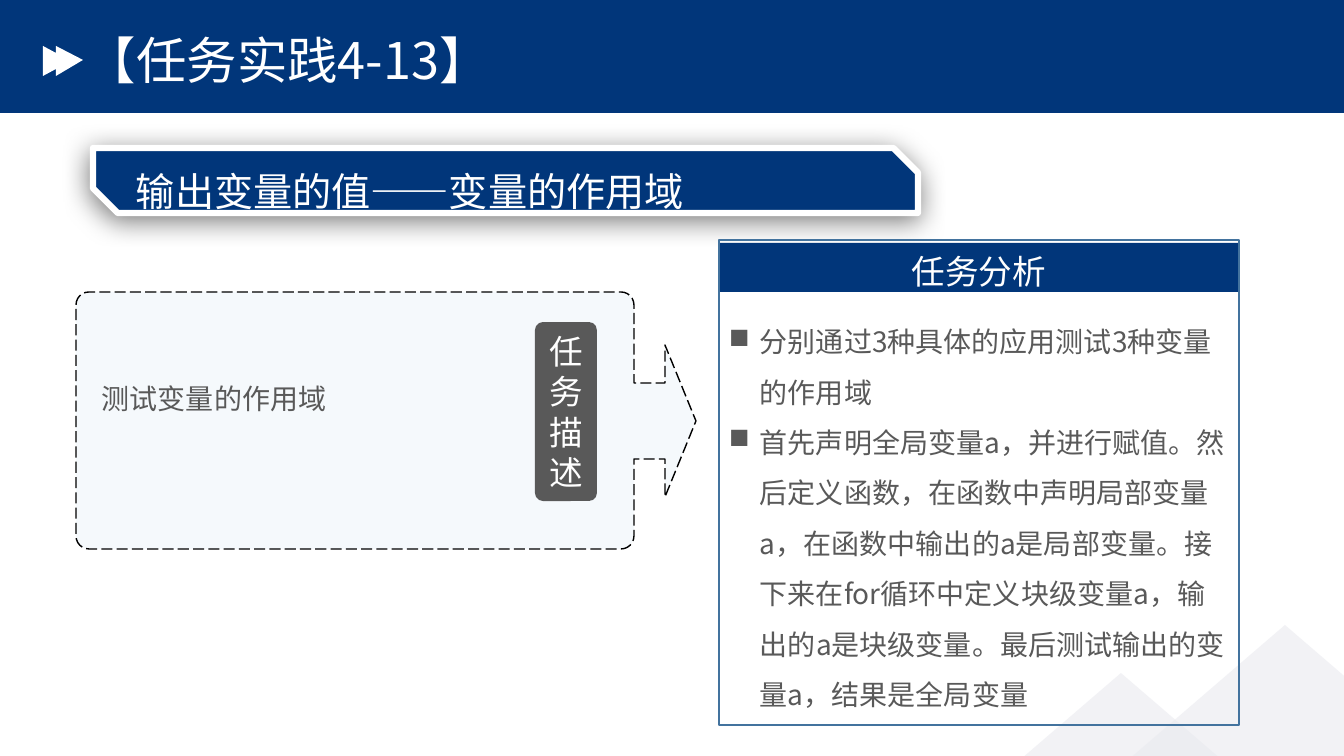
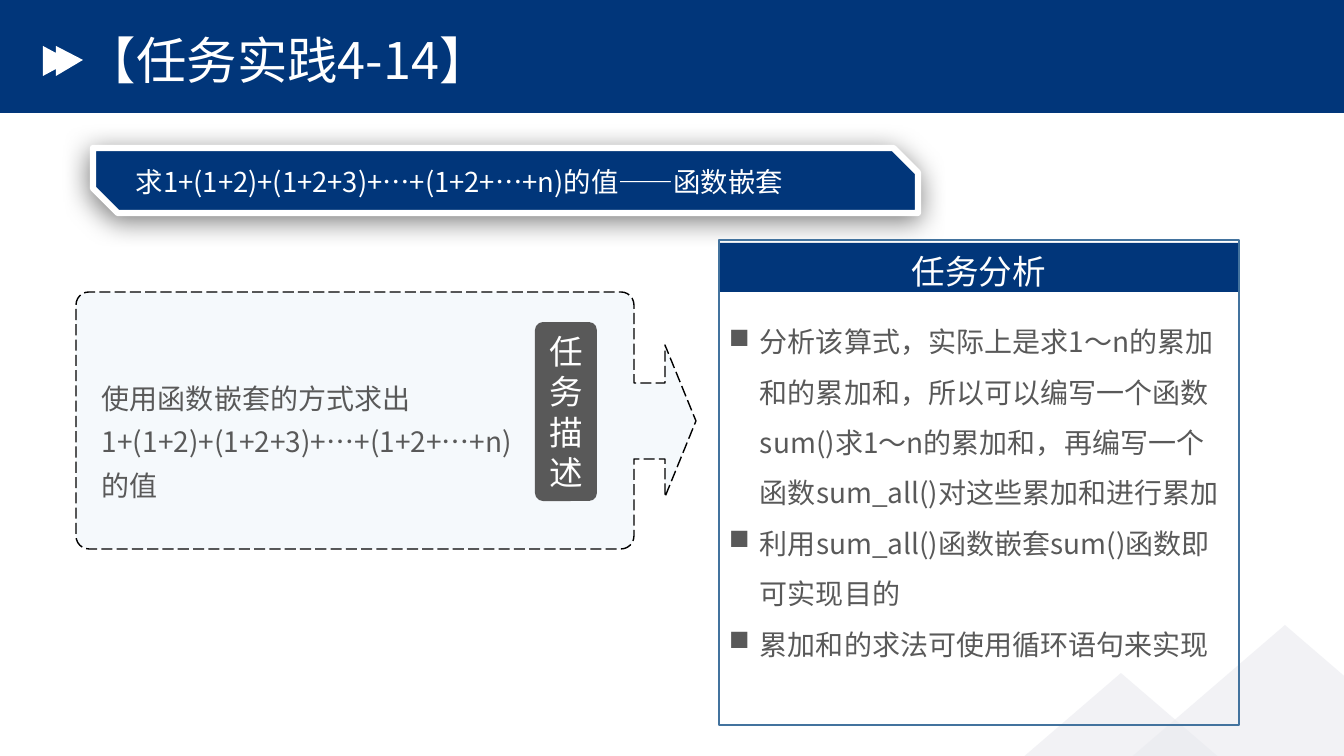
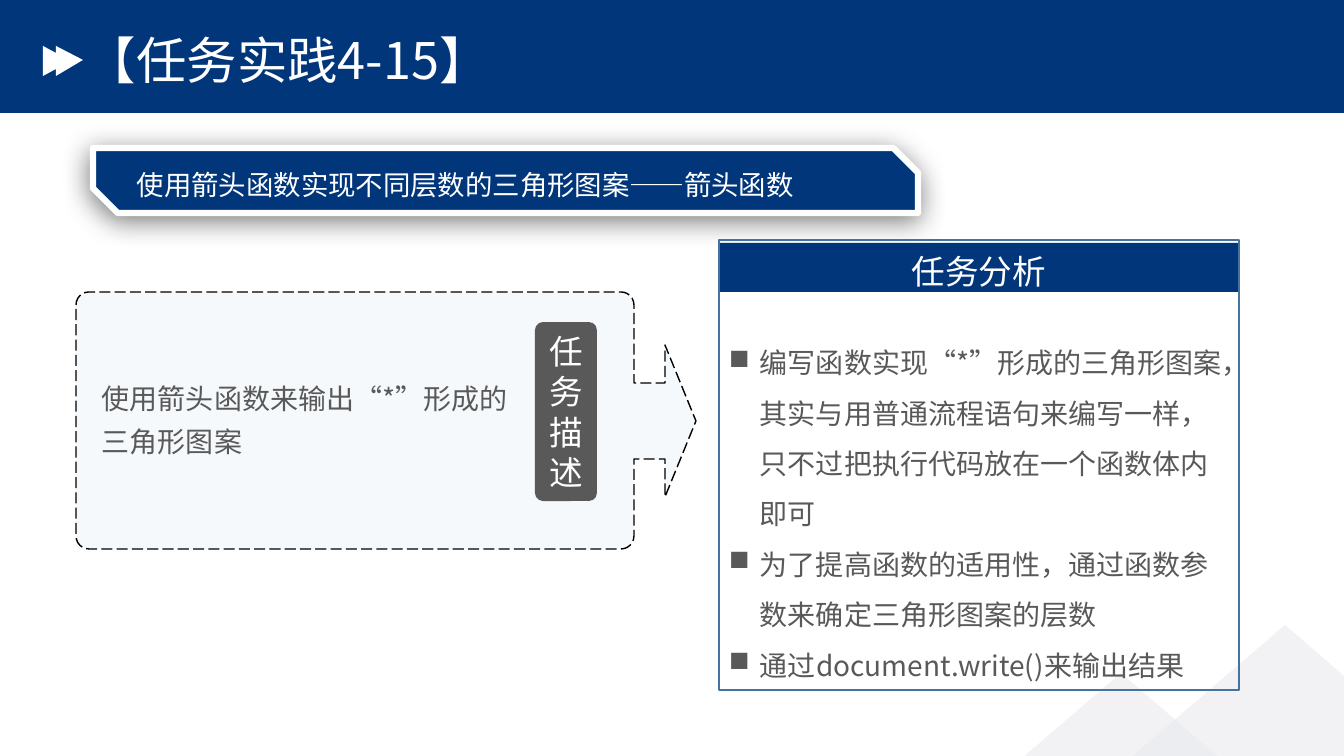
from math import cos, radians, sin

from pptx import Presentation
from pptx.dml.color import RGBColor
from pptx.enum.dml import MSO_LINE_DASH_STYLE as Dash
from pptx.enum.lang import MSO_LANGUAGE_ID as Language
from pptx.enum.shapes import MSO_SHAPE as Preset
from pptx.enum.text import MSO_ANCHOR as Anchor, PP_ALIGN as Align
from pptx.oxml.ns import qn
from pptx.util import Pt
from lxml.etree import SubElement

# Content
SLIDES = [
    {
        "title": "【任务实践4-13】",
        "topic": "输出变量的值——变量的作用域",
        "topic_at": (126, 148), "topic_size": 28, "topic_spacing": 1.3,
        "description": "测试变量的作用域",
        "points": [
            "分别通过3种具体的应用测试3种变量的作用域",
            "首先声明全局变量a，并进行赋值。然后定义函数，在函数中声明局部变量a，"
            "在函数中输出的a是局部变量。接下来在for循环中定义块级变量a，"
            "输出的a是块级变量。最后测试输出的变量a，结果是全局变量",
        ],
        "points_top": 303, "panel_height": 485,
    },
    {
        "title": "【任务实践4-14】",
        "topic": "求1+(1+2)+(1+2+3)+…+(1+2+…+n)的值——函数嵌套",
        "topic_at": (126, 157), "topic_size": 19.6, "topic_spacing": 1.1,
        "description": "使用函数嵌套的方式求出1+(1+2)+(1+2+3)+…+(1+2+…+n) 的值",
        "points": [
            "分析该算式，实际上是求1～n的累加和的累加和，所以可以编写一个函数sum()"
            "求1～n的累加和，再编写一个函数sum_all()对这些累加和进行累加",
            "利用sum_all()函数嵌套sum()函数即可实现目的",
            "累加和的求法可使用循环语句来实现",
        ],
        "points_top": 303, "panel_height": 485,
    },
    {
        "title": "【任务实践4-15】",
        "topic": "使用箭头函数实现不同层数的三角形图案——箭头函数",
        "topic_at": (127, 160), "topic_size": 19.6, "topic_spacing": 1.1,
        "description": "使用箭头函数来输出“*”形成的三角形图案",
        "points": [
            "编写函数实现“*”形成的三角形图案，其实与用普通流程语句来编写一样，"
            "只不过把执行代码放在一个函数体内即可",
            "为了提高函数的适用性，通过函数参数来确定三角形图案的层数",
            "通过document.write()来输出结果",
        ],
        "points_top": 324, "panel_height": 450,
    },
]
DESCRIPTION_LABEL = "任务描述"
ANALYSIS_LABEL = "任务分析"

# Shared style
NAVY = RGBColor(0x01, 0x36, 0x7A)
WHITE = RGBColor(0xFF, 0xFF, 0xFF)
BLACK = RGBColor(0x00, 0x00, 0x00)
GRAY = RGBColor(0x59, 0x59, 0x59)
PALE_GRAY = RGBColor(0xE9, 0xEA, 0xEF)
PALE_BLUE = RGBColor(0xBD, 0xD7, 0xEE)
STEEL = RGBColor(0x43, 0x73, 0x9E)
CJK_FONT = "Noto Sans CJK SC"
LABEL_FONT = "Calibri"
LINE_HEIGHT = 1.2
HANG = 31

# Geometry in px
SLIDE_SIZE = (1344, 756)
PANEL_LEFT, PANEL_TOP, PANEL_WIDTH = 719, 240, 520
HILLS = [(899, 673, 444, 191), (1063, 625, 444, 191)]
PLAY_ICON = [(43, 46), (56, 53), (56, 46), (83, 60), (56, 76), (56, 69), (43, 76)]
CALLOUT = (76, 292, 634, 549)
CALLOUT_ARROW = [(634, 459), (665, 459), (665, 497), (696, 421),
                 (665, 345), (665, 383), (634, 383)]
CORNER = 13


def px(value):
    return round(value * 914400 / 100.8)


def set_alpha(shape, percent):
    color = shape.element.spPr.find(qn("a:solidFill")).find(qn("a:srgbClr"))
    SubElement(color, qn("a:alpha"), val=str(percent * 1000))


def style_shape(shape, fill=None, alpha=None, line=None, width=1):
    shape.shadow.inherit = False
    if fill is None:
        shape.fill.background()
    else:
        shape.fill.solid()
        shape.fill.fore_color.rgb = fill
    if alpha is not None:
        set_alpha(shape, alpha)
    if line is None:
        shape.line.fill.background()
    else:
        shape.line.color.rgb = line
        shape.line.width = Pt(width)
    return shape


def add_preset(slide, preset, box, adjustments=(), **style):
    shape = slide.shapes.add_shape(preset, *map(px, box))
    for index, value in enumerate(adjustments):
        shape.adjustments[index] = value
    return style_shape(shape, **style)


def add_outline(slide, points, **style):
    start, *rest = [(px(x), px(y)) for x, y in points]
    builder = slide.shapes.build_freeform(*start, scale=1.0)
    builder.add_line_segments(rest, close=True)
    return style_shape(builder.convert_to_shape(), **style)


def write(shape, *texts, size, color=WHITE, font=CJK_FONT, align=Align.LEFT,
          anchor=Anchor.TOP, spacing=1, bullet=None):
    frame = shape.text_frame
    frame.word_wrap = True
    frame.vertical_anchor = anchor
    for index, text in enumerate(texts):
        paragraph = frame.add_paragraph() if index else frame.paragraphs[0]
        paragraph.alignment = align
        paragraph.line_spacing = Pt(size * LINE_HEIGHT * spacing)
        if bullet:
            properties = paragraph._p.get_or_add_pPr()
            properties.set("marL", str(px(HANG)))
            properties.set("indent", str(-px(HANG)))
            SubElement(properties, qn("a:buChar"), char=bullet)
        run = paragraph.add_run()
        run.text = text
        run.font.size = Pt(size)
        run.font.color.rgb = color
        run.font.name = font
        run.font.language_id = Language.SIMPLIFIED_CHINESE
        SubElement(run._r.get_or_add_rPr(), qn("a:ea"), typeface=font)


def add_text(slide, box, *texts, **text_format):
    write(slide.shapes.add_textbox(*map(px, box)), *texts, **text_format)


def arc(center_x, center_y, start):
    """Quarter circle, running anticlockwise on screen from the start angle."""
    angles = [radians(start - step * 15) for step in range(7)]
    return [(center_x + CORNER * cos(a), center_y + CORNER * sin(a)) for a in angles]


def callout_points():
    left, top, right, bottom = CALLOUT
    near_x, far_x = left + CORNER, right - CORNER
    near_y, far_y = top + CORNER, bottom - CORNER
    return (arc(far_x, far_y, 90) + CALLOUT_ARROW + arc(far_x, near_y, 0)
            + arc(near_x, near_y, -90) + arc(near_x, far_y, 180))


def add_frame(slide, content):
    # Title band, corner hills and topic ribbon
    add_preset(slide, Preset.RECTANGLE, (0, 0, SLIDE_SIZE[0], 113), fill=NAVY)
    add_outline(slide, PLAY_ICON, fill=WHITE)
    for hill in HILLS:
        add_preset(slide, Preset.ISOSCELES_TRIANGLE, hill, fill=PALE_GRAY, alpha=59)
    ribbon = add_preset(slide, Preset.SNIP_2_DIAG_RECTANGLE, (93, 148, 825, 65),
                        (0, 0.38), fill=NAVY, line=WHITE, width=4.5)
    shadow = SubElement(ribbon.element.spPr.find(qn("a:effectLst")), qn("a:outerShdw"),
                        blurRad=str(Pt(19)), dist=str(Pt(4)),
                        dir=str(112 * 60000), rotWithShape="0")
    shadow_color = SubElement(shadow, qn("a:srgbClr"), val=str(BLACK))
    SubElement(shadow_color, qn("a:alpha"), val="51000")

    add_text(slide, (76, 34, 663, 56), content["title"], size=36,
             spacing=0.9, anchor=Anchor.MIDDLE)
    add_text(slide, (*content["topic_at"], 746, 71), content["topic"],
             size=content["topic_size"], spacing=content["topic_spacing"])


def add_description(slide, text):
    callout = add_outline(slide, callout_points(), fill=PALE_BLUE, alpha=15, line=BLACK)
    callout.line.dash_style = Dash.LONG_DASH
    add_text(slide, (92, 366, 444, 138), text, size=20, color=GRAY, spacing=1.3)
    label = add_preset(slide, Preset.ROUNDED_RECTANGLE, (535, 322, 62, 179),
                       (0.13,), fill=GRAY)
    write(label, DESCRIPTION_LABEL, size=24, font=LABEL_FONT,
          align=Align.CENTER, anchor=Anchor.MIDDLE)


def add_analysis(slide, content):
    height = content["panel_height"]
    points_top = content["points_top"]
    add_preset(slide, Preset.RECTANGLE, (PANEL_LEFT, PANEL_TOP + 3, PANEL_WIDTH, 49),
               fill=NAVY)
    add_text(slide, (PANEL_LEFT, PANEL_TOP + 6, PANEL_WIDTH, 44), ANALYSIS_LABEL,
             size=24, align=Align.CENTER)
    add_text(slide, (PANEL_LEFT, points_top, PANEL_WIDTH, PANEL_TOP + height - points_top),
             *content["points"], size=20, color=GRAY, spacing=1.5, bullet="■")
    add_preset(slide, Preset.RECTANGLE, (PANEL_LEFT, PANEL_TOP, PANEL_WIDTH, height),
               line=STEEL)


def main():
    presentation = Presentation()
    presentation.slide_width, presentation.slide_height = map(px, SLIDE_SIZE)
    blank = presentation.slide_layouts[6]
    for content in SLIDES:
        slide = presentation.slides.add_slide(blank)
        add_frame(slide, content)
        add_description(slide, content["description"])
        add_analysis(slide, content)
    presentation.save("out.pptx")


if __name__ == "__main__":
    main()
